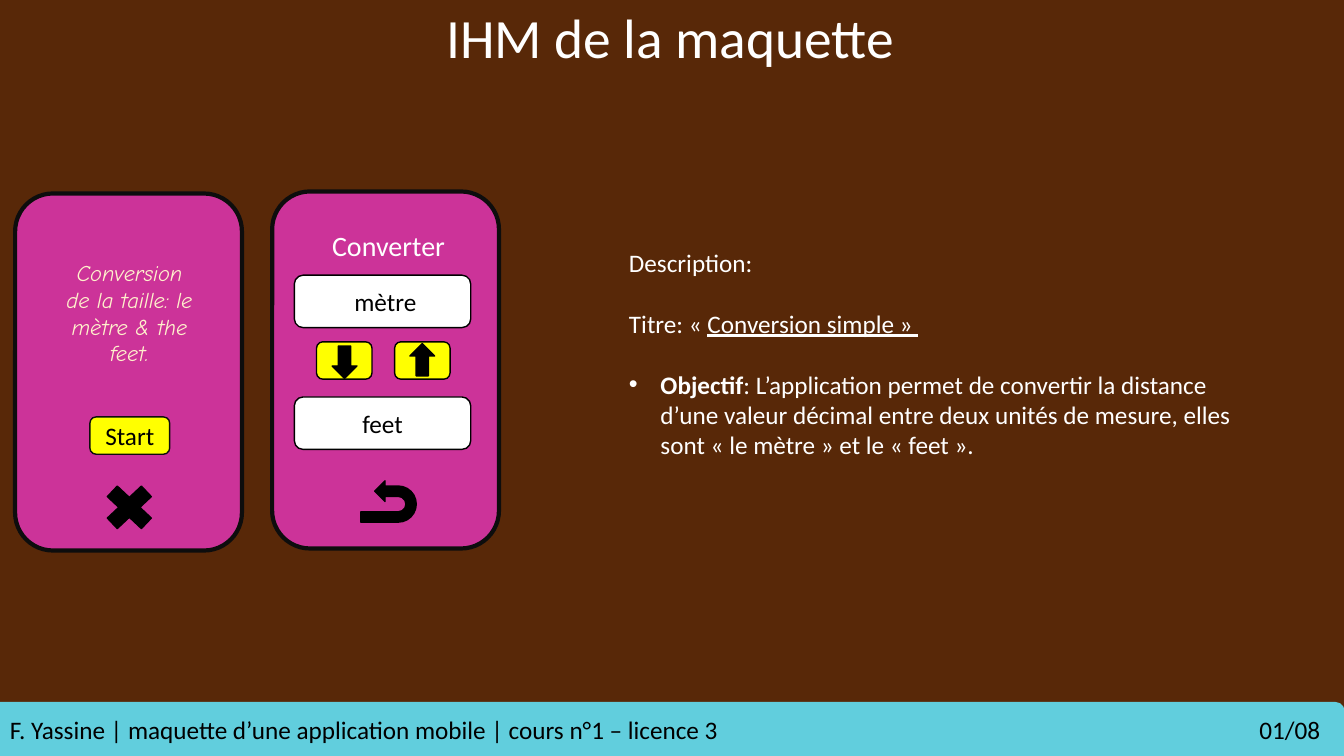
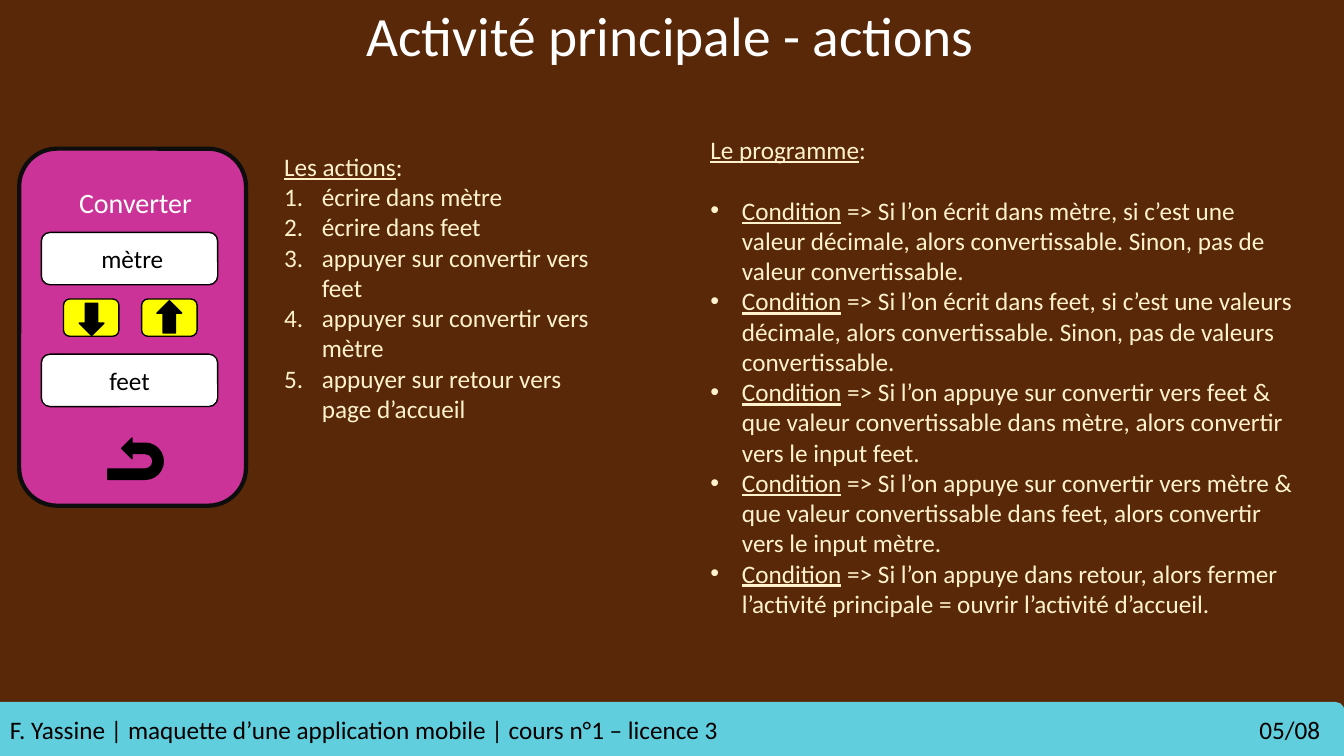
from dataclasses import dataclass
from typing import Any, NamedTuple, Optional, Sequence

import pptx
import pptx.dml.color
import pptx.enum.shapes
import pptx.enum.text
import pptx.oxml.ns
import pptx.util
from lxml import etree

RGBColor = pptx.dml.color.RGBColor
MSO = pptx.enum.shapes.MSO_SHAPE
ALIGN = pptx.enum.text.PP_ALIGN
ANCHOR = pptx.enum.text.MSO_ANCHOR
Pt = pptx.util.Pt
qn = pptx.oxml.ns.qn

# Colours and font
BROWN = RGBColor(0x58, 0x28, 0x08)
PINK = RGBColor(0xCC, 0x33, 0x99)
YELLOW = RGBColor(0xFF, 0xFF, 0x00)
CREAM = RGBColor(0xFF, 0xF2, 0xCC)
CYAN = RGBColor(0x61, 0xCE, 0xDD)
WHITE = RGBColor(0xFF, 0xFF, 0xFF)
INK = RGBColor(0x0D, 0x0D, 0x0D)
BLACK = RGBColor(0x00, 0x00, 0x00)
FONT = "Calibri"

# Grid of square cells, twelve to the inch
COLS, ROWS = 160, 90
CELL = pptx.util.Inches(1 / 12)
BLANK_LINE = 22  # paragraph gap, in points
FOOTER = "F. Yassine | maquette d’une application mobile | cours n°1 – licence 3"


class Box(NamedTuple):
    col: float
    row: float
    cols: float
    rows: float

    def inside(self, col: float, row: float) -> "Box":
        return Box(self.col + col, self.row + row, self.cols, self.rows)

    def emu(self) -> list[int]:
        return [round(v * CELL) for v in self]


class Run(NamedTuple):
    text: str
    bold: bool = False
    underline: bool = False


@dataclass(frozen=True)
class Para:
    runs: Sequence[Run]
    bullet: str = ""  # "•" or "1."
    before: float = 0


@dataclass(frozen=True)
class Part:
    kind: Any
    box: Box  # relative to the phone
    fill: RGBColor
    text: str = ""
    line: RGBColor = BLACK
    rotation: float = 0
    flip: bool = False


@dataclass(frozen=True)
class Label:
    text: str
    box: Box  # relative to the phone
    format: dict[str, Any]


# Phone screens
PHONE_COLS, PHONE_ROWS = 27, 42.5
FIELD = (21, 6.24)
BUTTON = (6.6, 4.44)
ARROW = (2.95, 3.84)

HOME = (
    Label("Conversion de la taille: le mètre & the feet.", Box(4.8, 7.2, 17.64, 14.16),
          dict(size=16, color=CREAM, font="Comic Neue", italic=True, align=ALIGN.CENTER)),
    Part(MSO.ROUNDED_RECTANGLE, Box(8.9, 26.6, 9.5, 4.44), YELLOW, "Start", INK),
    Part(MSO.MATH_MULTIPLY, Box(9.7, 33.7, 7.8, 7.32), BLACK),
)
CONVERTER = (
    Label("Converter", Box(2.64, 3.8, 22.44, 4.44),
          dict(size=20, color=WHITE, align=ALIGN.CENTER)),
    Part(MSO.ROUNDED_RECTANGLE, Box(2.64, 9.96, *FIELD), WHITE, " mètre"),
    Part(MSO.ROUNDED_RECTANGLE, Box(5.28, 17.9, *BUTTON), YELLOW),
    Part(MSO.ROUNDED_RECTANGLE, Box(14.58, 17.9, *BUTTON), YELLOW),
    Part(MSO.ROUNDED_RECTANGLE, Box(2.64, 24.46, *FIELD), WHITE, "feet"),
    Part(MSO.U_TURN_ARROW, Box(11.4, 33.6, 4.92, 6.6), BLACK, rotation=90, flip=True),
    Part(MSO.DOWN_ARROW, Box(7.15, 18.4, *ARROW), BLACK),
    Part(MSO.UP_ARROW, Box(16.4, 18.1, *ARROW), BLACK),
)


def set_bullet(p: Any, bullet: str) -> None:
    pPr = p._p.get_or_add_pPr()
    indent = Pt(22.5) if bullet == "•" else Pt(27)
    pPr.set("marL", str(indent))
    pPr.set("indent", str(-indent))
    if bullet == "•":
        etree.SubElement(pPr, qn("a:buFont")).set("typeface", "Arial")
        etree.SubElement(pPr, qn("a:buChar")).set("char", bullet)
    else:
        etree.SubElement(pPr, qn("a:buAutoNum")).set("type", "arabicPeriod")


def write(tf: Any, text: str | Sequence[Para], *, size: float = 18,
          color: RGBColor = BLACK, font: str = FONT, italic: bool = False,
          align: Any = ALIGN.LEFT, anchor: Any = ANCHOR.TOP,
          spacing: Optional[float] = None) -> None:
    """Fill a text frame with plain text or with formatted paragraphs."""
    tf.word_wrap = True
    tf.auto_size = pptx.enum.text.MSO_AUTO_SIZE.NONE
    tf.vertical_anchor = anchor
    paras = [Para([Run(text)])] if isinstance(text, str) else text
    for i, para in enumerate(paras):
        p = tf.add_paragraph() if i else tf.paragraphs[0]
        p.alignment = align
        if spacing:
            p.line_spacing = spacing
        p.space_before = Pt(para.before)
        if para.bullet:
            set_bullet(p, para.bullet)
        for run in para.runs:
            r = p.add_run()
            r.text = run.text
            f = r.font
            f.name, f.size, f.italic = font, Pt(size), italic
            f.bold, f.underline = run.bold, run.underline
            f.color.rgb = color


def add_shape(shapes: Any, kind: Any, box: Box, fill: RGBColor,
              line: RGBColor = BLACK, width: float = 1) -> Any:
    sp = shapes.add_shape(kind, *box.emu())
    sp.shadow.inherit = False
    sp.fill.solid()
    sp.fill.fore_color.rgb = fill
    sp.line.color.rgb = line
    sp.line.width = Pt(width)
    return sp


def add_text(shapes: Any, text: str | Sequence[Para], box: Box, **fmt: Any) -> None:
    write(shapes.add_textbox(*box.emu()).text_frame, text, **fmt)


def add_phone(slide: Any, col: float, row: float, screen: Sequence[Part | Label]) -> None:
    shapes = slide.shapes.add_group_shape().shapes
    body = Box(col, row, PHONE_COLS, PHONE_ROWS)
    add_shape(shapes, MSO.ROUNDED_RECTANGLE, body, PINK, INK, 3)
    for part in screen:
        box = part.box.inside(col, row)
        if isinstance(part, Label):
            add_text(shapes, part.text, box, **part.format)
            continue
        sp = add_shape(shapes, part.kind, box, part.fill, part.line)
        sp.rotation = part.rotation
        if part.flip:
            sp._element.spPr.xfrm.set("flipH", "1")
        if part.text:
            write(sp.text_frame, part.text, align=ALIGN.CENTER, anchor=ANCHOR.MIDDLE)


def add_footer(slide: Any, page: str) -> None:
    sp = add_shape(slide.shapes, MSO.ROUND_1_RECTANGLE,
                   Box(0, 83.64, COLS, 6.36), CYAN, CYAN)
    write(sp.text_frame, f"{FOOTER}\t{page}", anchor=ANCHOR.MIDDLE)
    # Right tab that holds the page number
    tabs = etree.SubElement(sp.text_frame.paragraphs[0]._p.get_or_add_pPr(), qn("a:tabLst"))
    tab = etree.SubElement(tabs, qn("a:tab"))
    tab.set("pos", str(156 * CELL))
    tab.set("algn", "r")


def add_slide(prs: Any, title: str, page: str, spacing: float) -> Any:
    slide = prs.slides.add_slide(prs.slide_layouts.get_by_name("Title Only"))
    sp = slide.shapes.title
    sp.left, sp.top, sp.width, sp.height = Box(10.8, 0.96, 138, 7.8).emu()
    write(sp.text_frame, title, size=39.6, color=WHITE, align=ALIGN.CENTER,
          anchor=ANCHOR.MIDDLE, spacing=spacing)
    add_footer(slide, page)
    return slide


def heading(text: str) -> Para:
    return Para([Run(text, underline=True), Run(":")])


# Slide texts
DESCRIPTION = [
    Para([Run("Description:")]),
    Para([Run("Titre: « "), Run("Conversion simple » ", underline=True)], before=BLANK_LINE),
    Para([Run("Objectif", bold=True),
          Run(": L’application permet de convertir la distance d’une valeur décimal entre "
              "deux unités de mesure, elles sont « le mètre » et le « feet ».")],
         "•", BLANK_LINE),
]
ACTIONS = (
    "écrire dans mètre",
    "écrire dans feet",
    "appuyer sur convertir vers feet",
    "appuyer sur convertir vers mètre",
    "appuyer sur retour vers page d’accueil",
)
CONDITIONS = (
    "Si l’on écrit dans mètre, si c’est une valeur décimale, alors convertissable. "
    "Sinon, pas de valeur convertissable.",
    "Si l’on écrit dans feet, si c’est une valeurs décimale, alors convertissable. "
    "Sinon, pas de valeurs convertissable.",
    "Si l’on appuye sur convertir vers feet & que valeur convertissable dans mètre, "
    "alors convertir vers le input feet.",
    "Si l’on appuye sur convertir vers mètre & que valeur convertissable dans feet, "
    "alors convertir vers le input mètre.",
    "Si l’on appuye dans retour, alors fermer l’activité principale = ouvrir "
    "l’activité d’accueil.",
)


def mockup_slide(prs: Any) -> None:
    slide = add_slide(prs, "IHM de la maquette", "01/08", 0.9)
    add_phone(slide, 1.8, 23.04, HOME)
    add_phone(slide, 32.4, 22.8, CONVERTER)
    add_text(slide.shapes, DESCRIPTION, Box(73.7, 28.8, 75.1, 26.6), color=WHITE)


def actions_slide(prs: Any) -> None:
    slide = add_slide(prs, "Activité principale - actions", "05/08", 0.8)
    add_phone(slide, 2.28, 17.7, CONVERTER)
    actions = [Para([Run(text)], "1.") for text in ACTIONS]
    add_text(slide.shapes, [heading("Les actions"), *actions],
             Box(32.64, 17.4, 41.3, 34), color=CREAM)
    conditions = [
        Para([Run("Condition", underline=True), Run(f" => {text}")], "•",
             0 if i else BLANK_LINE)
        for i, text in enumerate(CONDITIONS)
    ]
    add_text(slide.shapes, [heading("Le programme"), *conditions],
             Box(83.4, 15.36, 72, 59.4), color=CREAM)


def main() -> None:
    prs = pptx.Presentation()
    prs.slide_width, prs.slide_height = COLS * CELL, ROWS * CELL
    bg = prs.slide_master.background.fill
    bg.solid()
    bg.fore_color.rgb = BROWN
    mockup_slide(prs)
    actions_slide(prs)
    prs.save("out.pptx")


if __name__ == "__main__":
    main()
